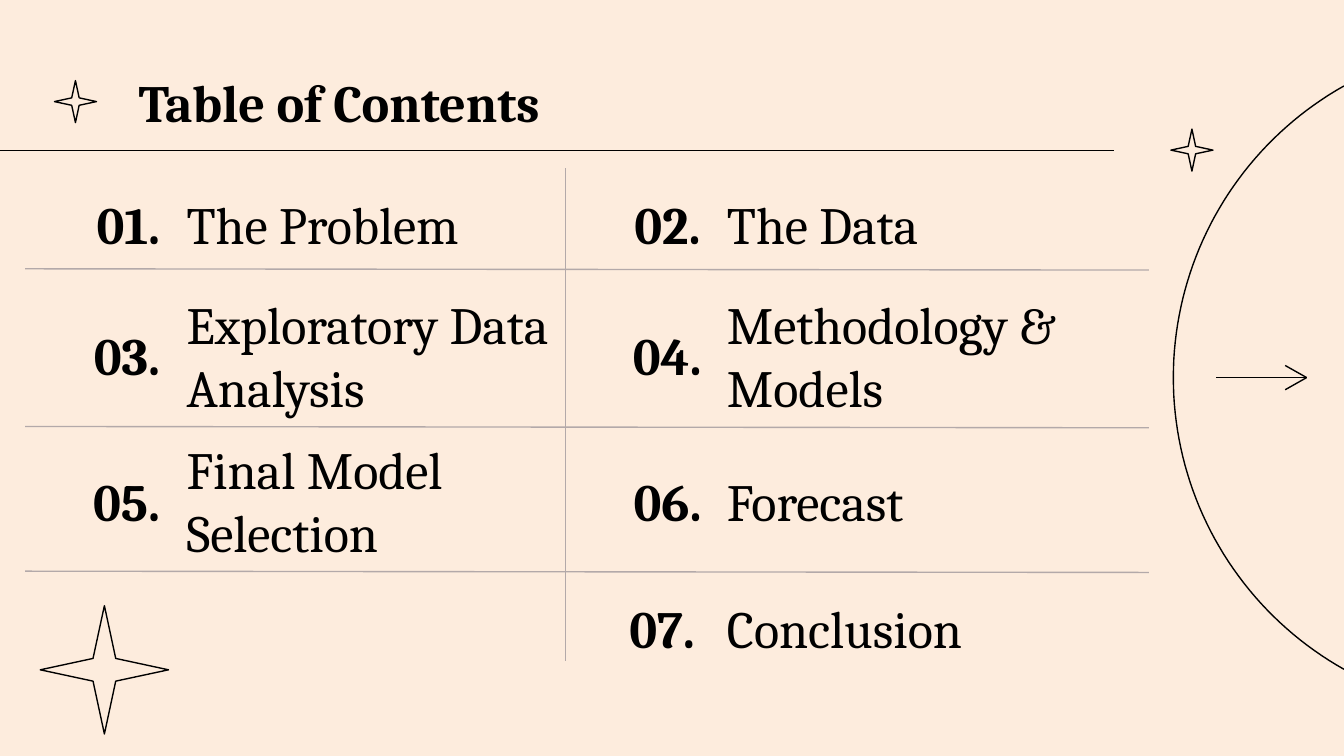
import math
from lxml import etree
from pptx import Presentation
from pptx.dml.color import RGBColor
from pptx.enum import shapes, text
from pptx.oxml import ns
from pptx.util import Pt

BLACK = RGBColor(0, 0, 0)
GREY = RGBColor(0xB3, 0xA9, 0xA9)
CREAM = RGBColor(0xFD, 0xEC, 0xDD)
FONT = "Cambria"
ITEMS = ["The Problem", "The Data", "Exploratory Data Analysis",
         "Methodology & Models", "Final Model Selection", "Forecast",
         None, "Conclusion"]


def draw_line(slide, start, end, color=BLACK):
    line = slide.shapes.add_connector(
        shapes.MSO_CONNECTOR.STRAIGHT, *map(Pt, start + end))
    line.line.color.rgb = color
    line.line.width = Pt(0.75)
    etree.SubElement(line._element.spPr, ns.qn("a:effectLst"))


def outline(shape):
    shape.shadow.inherit = False
    shape.fill.background()
    shape.line.color.rgb = BLACK
    shape.line.width = Pt(0.75)


def put_text(shape, words, bold=False, align=text.PP_ALIGN.LEFT):
    frame = shape.text_frame
    frame.text = words
    frame.word_wrap = True
    frame.auto_size = text.MSO_AUTO_SIZE.NONE
    frame.vertical_anchor = text.MSO_ANCHOR.MIDDLE
    frame.margin_left = frame.margin_right = Pt(7.2)
    frame.margin_top = frame.margin_bottom = Pt(7.2)
    para = frame.paragraphs[0]
    para.alignment = align
    para.font.name = FONT
    para.font.size = Pt(28)
    para.font.bold = bold
    para.font.color.rgb = BLACK


def add_text(slide, box, words, **style):
    put_text(slide.shapes.add_textbox(*map(Pt, box)), words, **style)


def add_star(slide, left, top, size):
    star = slide.shapes.add_shape(
        shapes.MSO_SHAPE.STAR_4_POINT, Pt(left), Pt(top), Pt(size), Pt(size))
    star.adjustments[0] = 0.125
    outline(star)


def add_header(slide, left, top, width, height):
    title = slide.shapes.title
    title.left, title.top = Pt(left + 67), Pt(top)
    title.width, title.height = Pt(width - 67), Pt(height)
    put_text(title, "Table of Contents", bold=True)
    add_star(slide, left + 29.2, top + 11.5, 22.5)
    base = top + height + 3.7
    draw_line(slide, (left, base), (left + 597, base))


def add_grid(slide, left, top, width, height):
    column = 289.5
    rows = [29.6, 100.2, 178, 246.4]
    shifts = [0, 0.5, 0.5, -3]
    for i, words in enumerate(ITEMS):
        if not words:
            continue
        row, col = divmod(i, 2)
        y = top + rows[row] - 21
        x = left + 16 + col * column
        shift = shifts[row] if col else 0
        number = i + 1 if row < 3 else 7
        add_text(slide, (x + shift, y, 63.4, 42), f"{number:02}.",
                 bold=True, align=text.PP_ALIGN.RIGHT)
        add_text(slide, (x + 63.4, y, 223 - 15 * col, 42), words)
    for y in (54, 138.5, 216):
        draw_line(slide, (left, top + y), (left + width, top + y + 0.7), GREY)
    draw_line(slide, (left + column, top + height), (left + column, top), GREY)


def add_arc(slide, left, top, width, height):
    radius = (width ** 2 + height ** 2 / 4) / (2 * width)
    half = math.asin(height / 2 / radius)
    steps = 80
    dots = []
    for i in range(steps + 1):
        turn = half * (1 - 2 * i / steps)
        dots.append((Pt(left + radius * (1 - math.cos(turn))),
                     Pt(top + height / 2 - radius * math.sin(turn))))
    path = slide.shapes.build_freeform(*dots[0])
    path.add_line_segments(dots[1:], close=False)
    outline(path.convert_to_shape())


def add_arrow(slide, left, top, width, height):
    tip = (left + width, top + height / 2)
    draw_line(slide, (left, tip[1]), tip)
    for y in (top, top + height):
        draw_line(slide, (tip[0] - 11.5, y), tip)


def main():
    deck = Presentation()
    deck.slide_width, deck.slide_height = Pt(720), Pt(405)
    slide = deck.slides.add_slide(deck.slide_layouts[5])
    slide.background.fill.solid()
    slide.background.fill.fore_color.rgb = CREAM
    add_arc(slide, 628.6, 46.1, 91.4, 312.5)
    add_header(slide, 0, 31.7, 674, 45.2)
    add_grid(slide, 13.5, 90, 602, 264)
    add_star(slide, 21.6, 324.5, 68.7)
    add_star(slide, 627.3, 69.2, 22.5)
    add_arrow(slide, 651.6, 195.8, 48.4, 13)
    deck.save("out.pptx")


if __name__ == "__main__":
    main()
